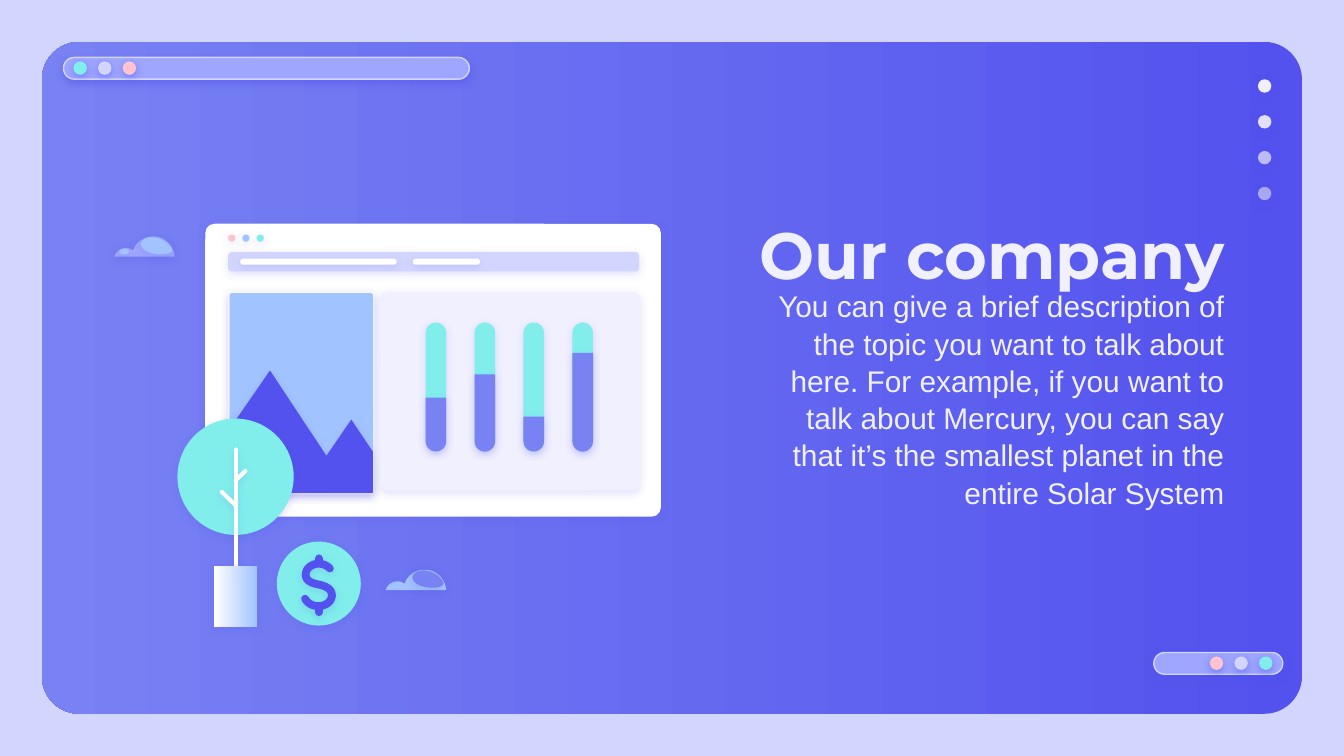
from dataclasses import dataclass

from lxml.etree import SubElement
from pptx import Presentation
from pptx.dml.color import RGBColor
from pptx.enum.shapes import MSO_SHAPE as Shape
from pptx.enum.text import MSO_ANCHOR as Anchor, MSO_AUTO_SIZE as AutoSize, PP_ALIGN as Align
from pptx.oxml.ns import qn
from pptx.util import Inches, Pt

INDIGO = RGBColor(0x53, 0x52, 0xEE)
PERIWINKLE = RGBColor(0x78, 0x82, 0xF3)
LILAC = RGBColor(0x9E, 0xA6, 0xFF)
LAVENDER = RGBColor(0xD2, 0xD6, 0xFF)
PALE = RGBColor(0xF1, 0xF0, 0xFF)
SKY = RGBColor(0xA1, 0xC3, 0xFF)
MINT = RGBColor(0x81, 0xEE, 0xEB)
PINK = RGBColor(0xFF, 0xC3, 0xD0)
WHITE = RGBColor(0xFF, 0xFF, 0xFF)

SLIDE_W, SLIDE_H = Inches(10), Inches(5.625)
COL = SLIDE_W / 100  # square grid: all lengths below are in columns


@dataclass
class Box:
    x: float
    y: float
    w: float
    h: float

    def inner(self, x, y, w, h):
        """A box placed relative to this one."""
        return Box(self.x + x, self.y + y, w, h)

    def emu(self):
        return [round(v * COL) for v in (self.x, self.y, self.w, self.h)]


# --- drawing helpers ---
def add_shadow(shape, alpha):
    shape.shadow.inherit = False
    if alpha:
        effects = shape.element.spPr.find(qn("a:effectLst"))
        outer = SubElement(effects, qn("a:outerShdw"), blurRad=str(Pt(4.5)), dist=str(Pt(1.5)),
                           dir="5400000", algn="bl", rotWithShape="0")
        tint = SubElement(outer, qn("a:srgbClr"), val=str(INDIGO))
        SubElement(tint, qn("a:alpha"), val=str(alpha * 1000))


def paint(shape, color, shadow=17):
    shape.fill.solid()
    shape.fill.fore_color.rgb = color
    shape.line.fill.background()
    add_shadow(shape, shadow)
    return shape


def paint_gradient(shape, colors, angle):
    shape.fill.gradient()
    shape.fill.gradient_angle = angle
    for stop, color, position in zip(shape.fill.gradient_stops, colors, (0, 1)):
        stop.color.rgb, stop.position = color, position


def rounded(shapes, box, color, radius, shadow=17):
    shape = shapes.add_shape(Shape.ROUNDED_RECTANGLE, *box.emu())
    shape.adjustments[0] = radius / min(box.w, box.h)
    return paint(shape, color, shadow)


def disc(shapes, box, color, shadow=17):
    return paint(shapes.add_shape(Shape.OVAL, *box.emu()), color, shadow)


def trace(start, segments, steps=10):
    """Points along line ends (x, y) and cubic curves (x1, y1, x2, y2, x, y)."""
    points = [start]
    for seg in segments:
        if len(seg) == 2:
            points.append(seg)
            continue
        anchors = [points[-1], seg[:2], seg[2:4], seg[4:]]
        for t in (i / steps for i in range(1, steps + 1)):
            weights = ((1 - t) ** 3, 3 * t * (1 - t) ** 2, 3 * t * t * (1 - t), t ** 3)
            points.append(tuple(sum(w * a[k] for w, a in zip(weights, anchors)) for k in (0, 1)))
    return points


def freeform(shapes, box, contours, close):
    builder = None
    for contour in contours:
        first, *rest = [((box.x + x) * COL, (box.y + y) * COL) for x, y in contour]
        if builder is None:
            builder = shapes.build_freeform(*first, scale=1.0)
        else:
            builder.move_to(*first)
        builder.add_line_segments(rest, close=close)
    return builder.convert_to_shape()


def outline(shapes, box, start, segments, color):
    return paint(freeform(shapes, box, [trace(start, segments)], True), color)


def stroke(shapes, box, contours, color, width):
    shape = freeform(shapes, box, contours, False)
    shape.fill.background()
    shape.line.color.rgb, shape.line.width = color, Pt(width)
    shape.element.spPr.find(qn("a:ln")).set("cap", "rnd")
    add_shadow(shape, 17)


# --- frame of the slide ---
def draw_toolbar(slide, box, first, pitch):
    bar = rounded(slide.shapes, box, LILAC, box.h / 2, 50)
    bar.line.color.rgb, bar.line.width = LAVENDER, Pt(0.75)
    dots = slide.shapes.add_group_shape().shapes
    for i, color in enumerate((MINT, LAVENDER, PINK)):
        disc(dots, box.inner(first + i * pitch, 0.3, 1, 1), color, 50)


def draw_page_dots(slide, box):
    dots = slide.shapes.add_group_shape().shapes
    for i, opacity in enumerate((100, 90, 67, 54)):
        dot = disc(dots, box.inner(0, i * (box.h - 1) / 3, 1, 1), PALE, 50)
        if opacity < 100:
            color = dot.element.spPr.find(qn("a:solidFill"))[0]
            SubElement(color, qn("a:alpha"), val=str(opacity * 1000))


def draw_frame(slide):
    slide.background.fill.solid()
    slide.background.fill.fore_color.rgb = LAVENDER
    panel = rounded(slide.shapes, Box(3.12, 3.12, 93.76, 50), INDIGO, 2.8, 0)
    paint_gradient(panel, (INDIGO, PERIWINKLE), 180)
    draw_toolbar(slide, Box(4.72, 4.27, 30.2, 1.62), 0.75, 1.83)
    draw_toolbar(slide, Box(85.85, 48.55, 9.6, 1.62), 7.83, -1.83)
    draw_page_dots(slide, Box(93.6, 5.9, 1, 9))


# --- illustration ---
def draw_landscape(shapes, box):
    rounded(shapes, box, WHITE, 0.3)
    photo = box.inner(0.12, 0.12, box.w - 0.24, box.h - 0.24)
    rounded(shapes, photo, SKY, 0.15)
    ridge = [(3, 5.75), (7.2, 12.1), (9.05, 9.4), (photo.w, 11.8), (photo.w, photo.h), (0, photo.h)]
    outline(shapes, photo, (0, 10.1), ridge, INDIGO)


def draw_bars(shapes, box):
    rounded(shapes, box, PALE, 0.6)
    for i, level in enumerate((4, 5.75, 2.6, 7.35)):
        track = box.inner(3.4 + i * 3.64, 2.3, 1.53, 9.6)
        rounded(shapes, track, MINT, track.w / 2)
        value = track.inner(0, track.h - level, track.w, level)
        bar = shapes.add_shape(Shape.ROUND_2_SAME_RECTANGLE, *value.emu())
        bar.adjustments[0], bar.adjustments[1] = 0, 0.5
        paint(bar, PERIWINKLE)


def draw_browser(shapes, box):
    rounded(shapes, box, WHITE, 0.7)
    for i, color in enumerate((PINK, SKY, MINT)):
        disc(shapes, box.inner(1.7 + i * 1.06, 0.8, 0.54, 0.54), color)
    rounded(shapes, box.inner(1.7, 2.1, 30.6, 1.45), LAVENDER, 0.3)
    for x, width in ((2.6, 11.65), (15.45, 5)):
        rounded(shapes, box.inner(x, 2.6, width, 0.45), WHITE, 0.22)
    draw_landscape(shapes, box.inner(1.7, 5.05, 10.9, 15.1))
    draw_bars(shapes, box.inner(13, 5.05, 19.35, 14.8))


def draw_cloud(shapes, box, color, light):
    outline(shapes, box, (0, 1.5), [
        (0.1, 1.2, 0.3, 1, 0.6, 0.9), (0.95, 0.8, 1.25, 0.9, 1.4, 1.05), (1.5, 0.75, 1.7, 0.45, 1.95, 0.3),
        (2.4, -0.05, 3.1, -0.1, 3.6, 0.15), (4.1, 0.4, 4.45, 0.9, 4.5, 1.5)], color)
    outline(shapes, box, (2.85, 0.05), [
        (2.5, 0.05, 2.25, 0.15, 2.1, 0.3), (1.95, 0.5, 1.95, 0.65, 2.1, 0.85),
        (2.4, 1.25, 3.1, 1.35, 3.65, 1.33), (4, 1.3, 4.25, 1.2, 4.3, 1.05),
        (4.35, 0.75, 3.6, 0.05, 2.85, 0.05)], light)


def draw_tree(shapes, box):
    disc(shapes, box.inner(0, 0, 8.65, 8.65), MINT)
    trunk = 4.33
    stroke(shapes, box, [[(trunk, 2.3), (trunk, 11.5)], [(3.3, 5.45), (trunk, 6.45)],
                         [(5.05, 3.9), (trunk, 4.6)]], WHITE, 2.2)
    pot = paint(shapes.add_shape(Shape.RECTANGLE, *box.inner(2.73, 10.95, 3.2, 4.55).emu()), WHITE)
    paint_gradient(pot, (WHITE, SKY), 0)


def draw_coin(shapes, box):
    disc(shapes, box, MINT)
    middle = box.w / 2
    curl = trace((3.95, 2), [
        (3.7, 1.75, 3.4, 1.65, 3.1, 1.65), (2.6, 1.65, 2.15, 2, 2.15, 2.45), (2.15, 3, 2.7, 3.1, 3.13, 3.2),
        (3.6, 3.3, 4.1, 3.5, 4.1, 4), (4.1, 4.45, 3.65, 4.8, 3.1, 4.8), (2.65, 4.8, 2.3, 4.6, 2.1, 4.25)])
    stroke(shapes, box, [curl, [(middle, 1.25), (middle, 1.6)], [(middle, 4.8), (middle, 5.25)]], INDIGO, 4.2)


def draw_illustration(slide, box):
    shapes = slide.shapes.add_group_shape().shapes
    draw_coin(shapes, box.inner(12.1, 23.7, 6.25, 6.25))
    draw_browser(shapes, box.inner(6.77, 0.05, 33.9, 21.8))
    sky_cloud = box.inner(0, 1, 4.5, 1.5)
    draw_cloud(shapes, sky_cloud, LILAC, SKY)
    disc(shapes, sky_cloud.inner(0.4, 0.9, 0.7, 0.45), SKY)
    draw_tree(shapes, box.inner(4.7, 14.55, 8.65, 15.5))
    draw_cloud(shapes, box.inner(20.2, 25.8, 4.5, 1.5), SKY, PERIWINKLE)


# --- text ---
def fill_placeholder(holder, box, text, font_name, size, bold, anchor):
    holder.left, holder.top, holder.width, holder.height = box.emu()
    frame = holder.text_frame
    frame.text = text
    frame.word_wrap, frame.auto_size, frame.vertical_anchor = True, AutoSize.NONE, anchor
    frame.margin_left = frame.margin_right = frame.margin_top = frame.margin_bottom = Inches(0.1)
    paragraph = frame.paragraphs[0]
    paragraph.alignment, paragraph.space_before = Align.RIGHT, Pt(0)
    font = paragraph.runs[0].font
    font.name, font.size, font.bold, font.color.rgb = font_name, Pt(size), bold, PALE
    return paragraph


def write_company(slide, box):
    fill_placeholder(slide.shapes.title, box.inner(0, 0, box.w, 6.3), "Our company",
                     "Montserrat", 35, True, Anchor.TOP)
    description = fill_placeholder(
        slide.placeholders[1], box.inner(1.1, 8.1, box.w - 1.1, 13.3),
        "You can give a brief description of the topic you want to talk about here. For example, "
        "if you want to talk about Mercury, you can say that it’s the smallest planet in the "
        "entire Solar System", "Arial", 16, False, Anchor.MIDDLE)
    description.line_spacing = 1.04


def main():
    deck = Presentation()
    deck.slide_width, deck.slide_height = SLIDE_W, SLIDE_H
    slide = deck.slides.add_slide(deck.slide_layouts[0])
    draw_frame(slide)
    draw_illustration(slide, Box(8.5, 16.6, 40.7, 30.1))
    write_company(slide, Box(54.8, 14.9, 37.3, 21.4))
    # Text stays in front of the panel
    for holder in list(slide.placeholders):
        slide.shapes.element.append(holder.element)
    deck.save("out.pptx")


if __name__ == "__main__":
    main()
